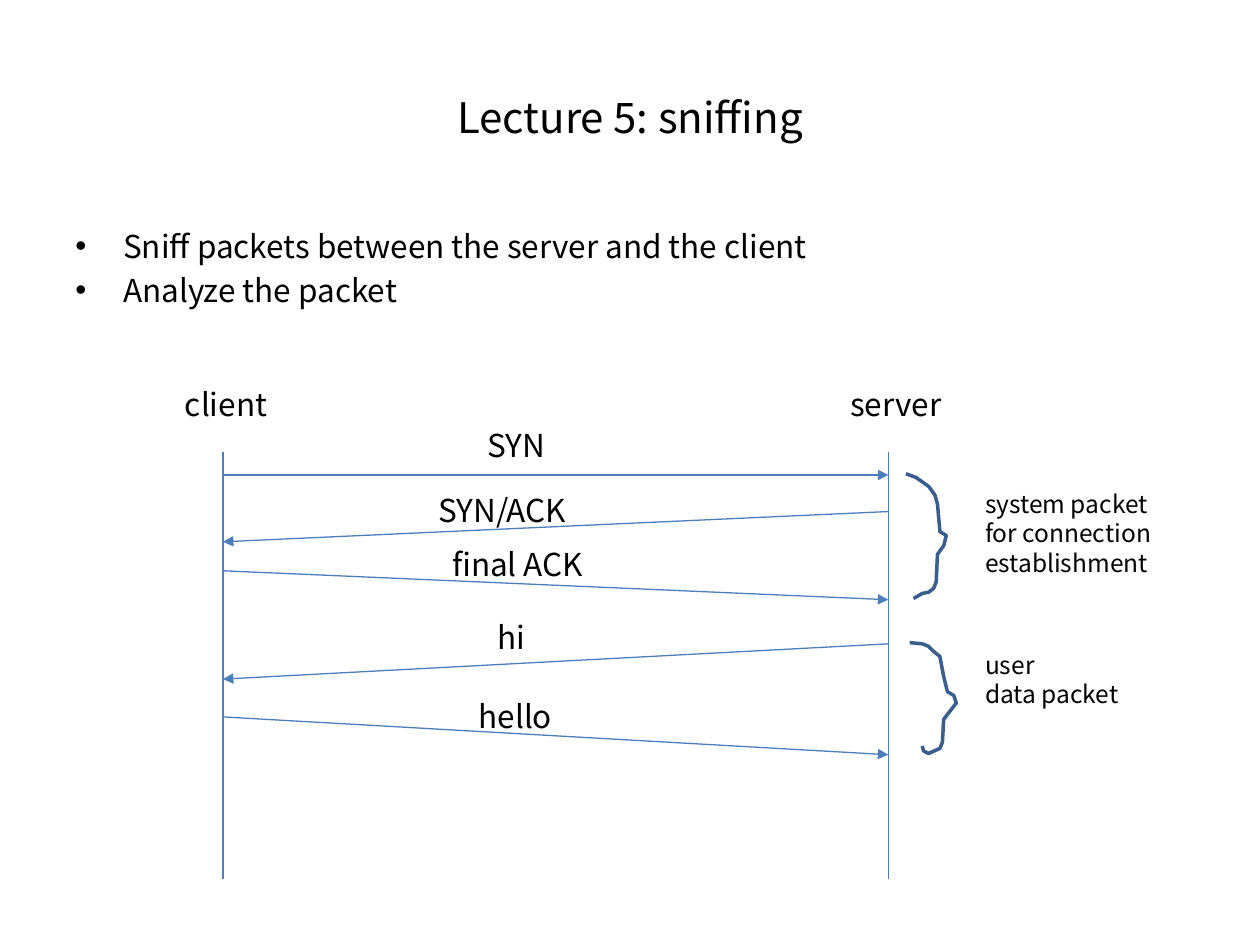
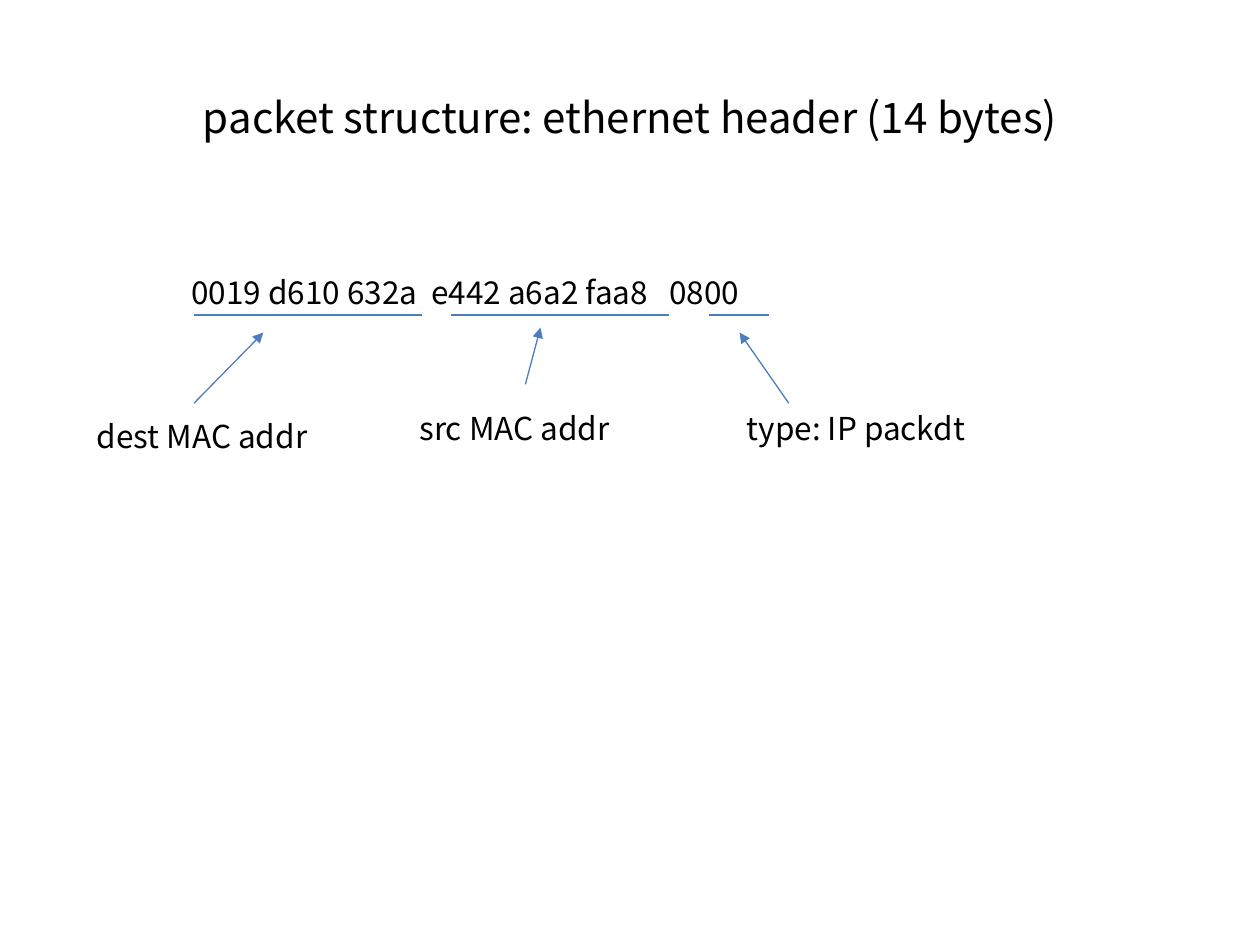
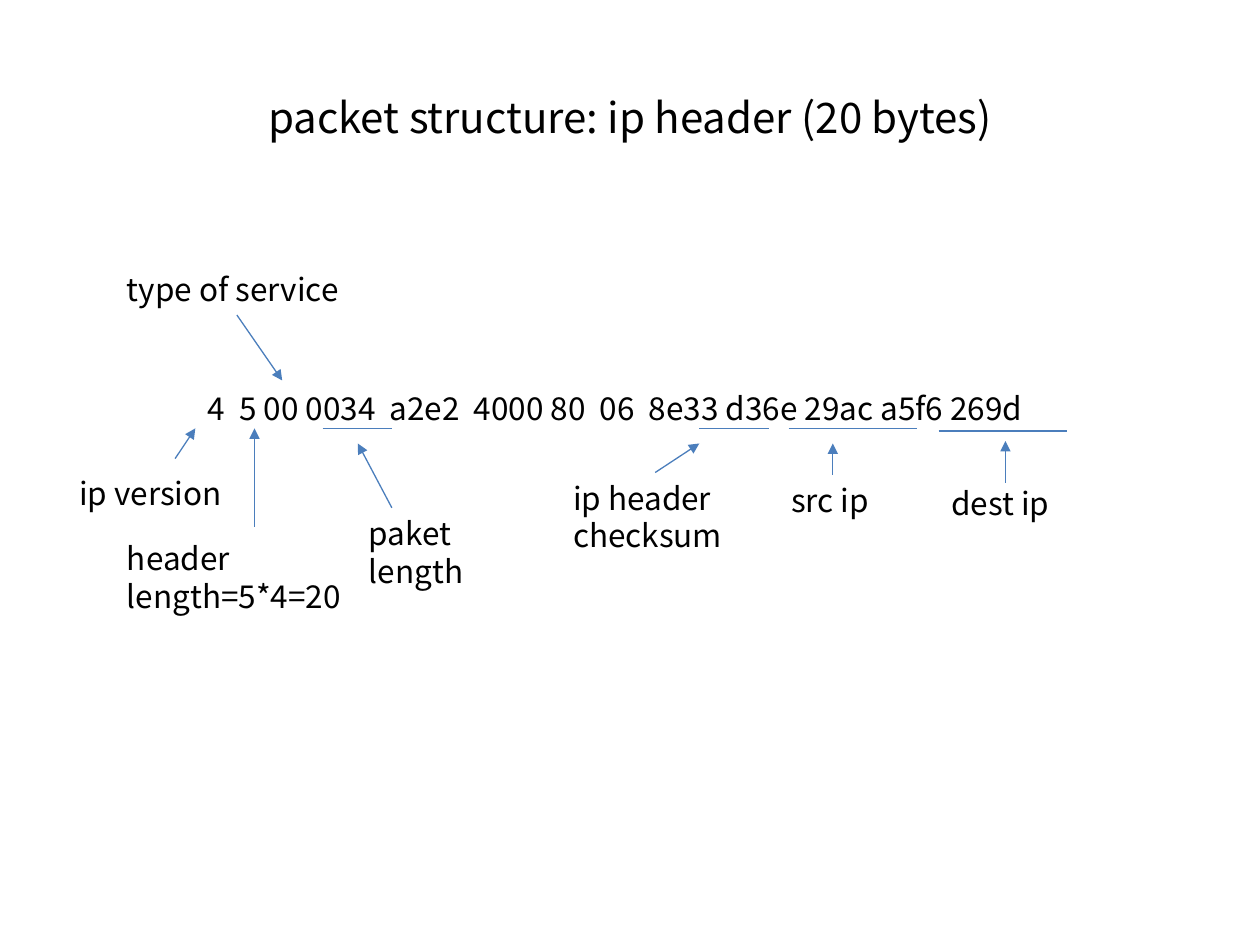
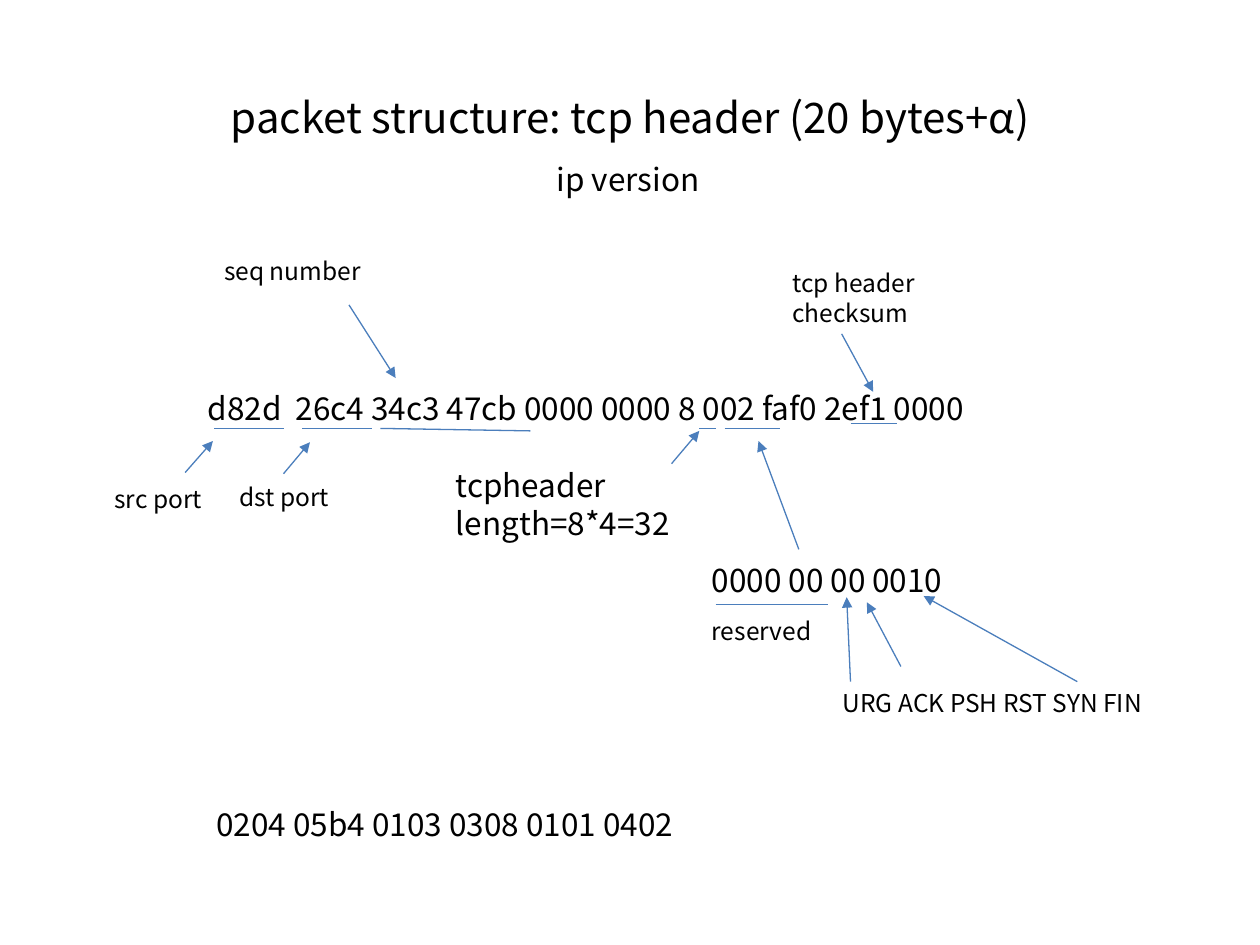
from dataclasses import dataclass
from pptx import Presentation
from pptx.dml.color import RGBColor
from pptx.enum.shapes import MSO_CONNECTOR
from pptx.enum.text import MSO_ANCHOR, MSO_AUTO_SIZE, PP_ALIGN
from pptx.oxml.ns import qn
from pptx.util import Inches, Pt
from lxml.etree import SubElement


@dataclass(frozen=True)
class Theme:
    font: str = "Noto Sans CJK KR"
    ink: RGBColor = RGBColor(0, 0, 0)
    line: RGBColor = RGBColor(0x4B, 0x7E, 0xBC)
    brace: RGBColor = RGBColor(0x3A, 0x5F, 0x8C)
    title: int = 24
    body: int = 18
    small: int = 14
    thin: float = 0.75
    thick: float = 2


def apply(obj, values):
    for name, value in values.items():
        setattr(obj, name, value)


class Deck:
    def __init__(self, theme):
        self.theme = theme
        self.prs = Presentation()
        apply(self.prs, {"slide_width": Inches(10), "slide_height": Inches(7.5)})
        self.s = None

    def run(self, p, text, size):
        r = p.add_run()
        r.text = text
        apply(r.font, {"name": self.theme.font, "size": Pt(size), "bold": False})
        r.font.color.rgb = self.theme.ink

    def slide(self, title):
        self.s = self.prs.slides.add_slide(self.prs.slide_layouts[5])
        sp = self.s.shapes.title
        apply(sp, {"left": Inches(0.5), "top": Inches(0.3),
                   "width": Inches(9), "height": Inches(1.25)})
        tf = sp.text_frame
        apply(tf, {"word_wrap": True, "vertical_anchor": MSO_ANCHOR.MIDDLE})
        p = tf.paragraphs[0]
        p.alignment = PP_ALIGN.CENTER
        self.run(p, title, self.theme.title)

    def text(self, x, y, w, text, size=None, rows=None):
        size = size or self.theme.body
        lines = text.split("\n")
        h = 0.1 + (rows or len(lines)) * size / 60
        sp = self.s.shapes.add_textbox(Inches(x), Inches(y), Inches(w), Inches(h))
        tf = sp.text_frame
        apply(tf, {"word_wrap": True, "auto_size": MSO_AUTO_SIZE.SHAPE_TO_FIT_TEXT})
        for i, line in enumerate(lines):
            p = tf.add_paragraph() if i else tf.paragraphs[0]
            self.run(p, line, size)
        return tf

    def note(self, x, y, w, text, rows=None):
        self.text(x, y, w, text, self.theme.small, rows)

    def bullets(self, x, y, w, items):
        tf = self.text(x, y, w, "\n".join(items))
        for p in tf.paragraphs:
            p.space_before = Pt(0.2 * self.theme.body)
            pPr = p._p.get_or_add_pPr()
            pPr.set("marL", str(Inches(0.38)))
            pPr.set("indent", str(-Inches(0.38)))
            SubElement(pPr, qn("a:buFont")).set("typeface", "Arial")
            SubElement(pPr, qn("a:buChar")).set("char", "•")

    def line(self, x1, y1, x2, y2, arrow=False):
        cx = self.s.shapes.add_connector(
            MSO_CONNECTOR.STRAIGHT, Inches(x1), Inches(y1), Inches(x2), Inches(y2))
        cx.line.color.rgb = self.theme.line
        cx.line.width = Pt(self.theme.thin)
        spPr = cx._element.spPr
        if arrow:
            SubElement(spPr.find(qn("a:ln")), qn("a:tailEnd")).set("type", "triangle")
        SubElement(spPr, qn("a:effectLst"))

    def arrow(self, x1, y1, x2, y2):
        self.line(x1, y1, x2, y2, arrow=True)

    def brace(self, points):
        pts = [(Inches(x), Inches(y)) for x, y in points]
        fb = self.s.shapes.build_freeform(*pts[0])
        fb.add_line_segments(pts[1:], close=False)
        sp = fb.convert_to_shape()
        sp.shadow.inherit = False
        sp.fill.background()
        sp.line.color.rgb = self.theme.brace
        sp.line.width = Pt(self.theme.thick)


def sniffing(d):
    d.slide("Lecture 5: sniffing")
    d.bullets(0.5, 1.75, 9, ["Sniff packets between the server and the client",
                             "Analyze the packet"])
    client, server = 1.77, 7.05
    for name, x in (("client", client), ("server", server)):
        d.line(x, 3.59, x, 6.98)
        d.text(x - 0.4, 3.01, 1.57, name)
    messages = [
        ("SYN", 3.77, 3.33, client, 3.77, server, 3.77),
        ("SYN/ACK", 3.38, 3.85, server, 4.06, client, 4.3),
        ("final ACK", 3.49, 4.28, client, 4.53, server, 4.76),
        ("hi", 3.85, 4.86, server, 5.11, client, 5.39),
        ("hello", 3.7, 5.48, client, 5.69, server, 5.99),
    ]
    for name, x, y, *ends in messages:
        d.text(x, y, 1.42, name)
        d.arrow(*ends)
    d.note(7.72, 3.83, 1.57, "system packet for connection establishment", rows=3)
    d.brace([(7.19, 3.76), (7.27, 3.79), (7.37, 3.86), (7.42, 3.93), (7.44, 4),
             (7.46, 4.22), (7.51, 4.25), (7.49, 4.33), (7.44, 4.4), (7.43, 4.62),
             (7.41, 4.67), (7.37, 4.7), (7.32, 4.71), (7.25, 4.75)])
    d.note(7.72, 5.11, 1.57, "user\ndata packet")
    d.brace([(7.22, 5.1), (7.32, 5.11), (7.37, 5.13), (7.41, 5.17), (7.46, 5.21),
             (7.49, 5.37), (7.52, 5.49), (7.57, 5.52), (7.59, 5.58), (7.52, 5.67),
             (7.49, 5.71), (7.48, 5.89), (7.46, 5.94), (7.37, 5.98), (7.33, 5.96),
             (7.32, 5.92)])


def ethernet_header(d):
    d.slide("packet structure: ethernet header (14 bytes)")
    d.text(1.42, 2.12, 6.77, "0019 d610 632a  e442 a6a2 faa8   0800")
    for x1, x2 in ((1.54, 3.35), (3.58, 5.31), (5.63, 6.1)):
        d.line(x1, 2.5, x2, 2.5)
    fields = [
        ("dest MAC addr", 0.67, 3.26, 1.54, 3.2, 2.09, 2.64),
        ("src MAC addr", 3.23, 3.2, 4.17, 3.05, 4.29, 2.6),
        ("type: IP packdt", 5.83, 3.2, 6.26, 3.2, 5.87, 2.64),
    ]
    for name, x, y, *ends in fields:
        d.text(x, y, 2.36, name)
        d.arrow(*ends)


def ip_header(d):
    d.slide("packet structure: ip header (20 bytes)")
    d.text(1.55, 3.04, 7.24, "4  5 00 0034  a2e2  4000 80  06  8e33 d36e 29ac a5f6 269d")
    for x1, x2, y in ((2.56, 3.11, 3.4), (5.55, 6.1, 3.4),
                      (6.26, 7.28, 3.4), (7.45, 8.47, 3.42)):
        d.line(x1, y, x2, y)
    fields = [
        ("ip version", 1, 0.53, 3.71, 1.35, 1.39, 3.64, 1.55, 3.4),
        ("header length=5*4=20", 2, 0.91, 4.23, 1.94, 2.02, 4.18, 2.02, 3.4),
        ("type of service", 1, 0.91, 2.09, 1.94, 1.88, 2.5, 2.24, 3.02),
        ("paket\nlength", 2, 2.83, 4.03, 1.35, 3.11, 4.03, 2.84, 3.52),
        ("ip header\nchecksum", 2, 4.45, 3.75, 1.5, 5.2, 3.75, 5.55, 3.52),
        ("src ip", 1, 6.18, 3.77, 0.87, 6.61, 3.77, 6.61, 3.52),
        ("dest ip", 1, 7.45, 3.79, 1.01, 7.98, 3.83, 7.98, 3.5),
    ]
    for name, rows, x, y, w, *ends in fields:
        d.text(x, y, w, name, rows=rows)
        d.arrow(*ends)


def tcp_header(d):
    d.slide("packet structure: tcp header (20 bytes+α)")
    d.text(1.55, 3.04, 7.24, "d82d  26c4 34c3 47cb 0000 0000 8 002 faf0 2ef1 0000")
    d.text(4.32, 1.22, 1.35, "ip version")
    d.text(3.52, 3.65, 2.18, "tcpheader length=8*4=32", rows=2)
    d.text(5.55, 4.4, 3.15, "0000 00 00 0010")
    d.text(1.62, 6.34, 7.18, "0204 05b4 0103 0308 0101 0402")
    notes = [
        (1.68, 1.98, 1.94, "seq number"),
        (6.19, 2.08, 1.5, "tcp header\nchecksum"),
        (0.81, 3.79, 0.93, "src port"),
        (1.8, 3.78, 0.93, "dst port"),
        (5.55, 4.84, 1.01, "reserved"),
        (6.59, 5.41, 3.4, "URG ACK PSH RST SYN FIN"),
    ]
    for note in notes:
        d.note(*note)
    underlines = [
        (1.7, 3.4, 2.25, 3.4), (2.4, 3.4, 2.95, 3.4), (3.02, 3.4, 4.21, 3.42),
        (5.55, 3.4, 5.68, 3.4), (5.75, 3.4, 6.19, 3.4), (6.75, 3.36, 7.12, 3.36),
        (5.68, 4.8, 6.57, 4.8),
    ]
    for ends in underlines:
        d.line(*ends)
    pointers = [
        (1.47, 3.75, 1.69, 3.5), (2.25, 3.76, 2.46, 3.51), (2.77, 2.42, 3.14, 3),
        (6.68, 2.65, 6.93, 3.11), (5.33, 3.68, 5.55, 3.42), (6.34, 4.36, 6.02, 3.5),
        (6.75, 5.41, 6.72, 4.74), (7.15, 5.29, 6.88, 4.78), (8.55, 5.41, 7.33, 4.73),
    ]
    for ends in pointers:
        d.arrow(*ends)


deck = Deck(Theme())
for build in (sniffing, ethernet_header, ip_header, tcp_header):
    build(deck)
deck.prs.save("out.pptx")
